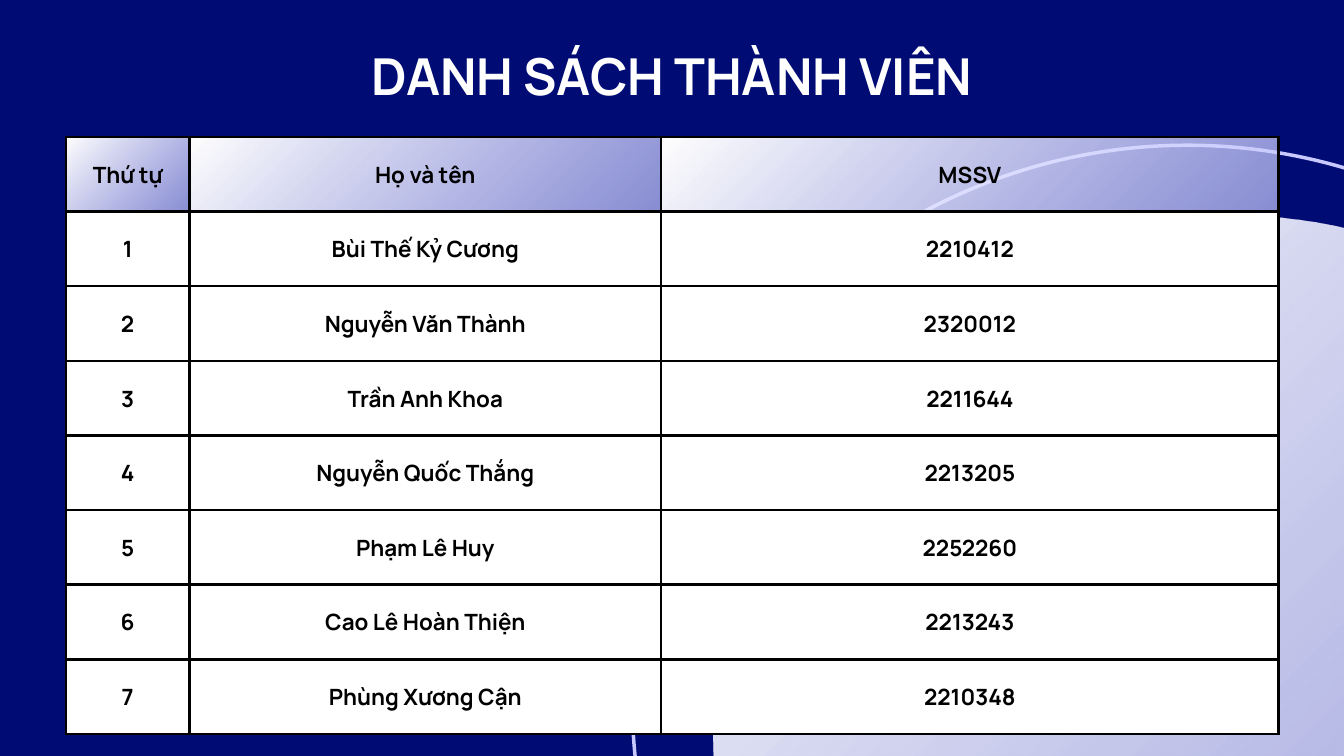
from dataclasses import dataclass

from lxml import etree
from pptx import Presentation
from pptx import util as u
from pptx.dml.color import RGBColor
from pptx.enum import shapes, text
from pptx.oxml.ns import qn


@dataclass(frozen=True)
class Theme:
    font: str = "Manrope"
    navy: RGBColor = RGBColor(0x00, 0x0C, 0x74)
    lavender: RGBColor = RGBColor(0xC7, 0xC9, 0xFF)
    white: RGBColor = RGBColor(0xFF, 0xFF, 0xFF)
    black: RGBColor = RGBColor(0, 0, 0)
    title_size: float = 54.5
    cell_size: float = 24
    title_leading: float = 76.3
    cell_leading: float = 33.6
    border: float = 3


theme = Theme()


def fade(fill, props):
    """Diagonal gradient from white to translucent lavender."""
    fill.gradient()
    fill.gradient_angle = 315
    for stop, position, color in zip(fill.gradient_stops, (0, 1), (theme.white, theme.lavender)):
        stop.position = position
        stop.color.rgb = color
    last = props.findall(".//" + qn("a:srgbClr"))[-1]
    etree.SubElement(last, qn("a:alpha"), val="69000")


def style_paragraph(p, size, leading, color):
    p.alignment = text.PP_ALIGN.CENTER
    p.line_spacing = u.Pt(leading)
    for r in p.runs:
        r.font.name = theme.font
        r.font.size = u.Pt(size)
        r.font.bold = True
        r.font.color.rgb = color


prs = Presentation()
prs.slide_width = u.Cm(50.8)
prs.slide_height = prs.slide_width * 9 // 16
s = prs.slides.add_slide(prs.slide_layouts[5])
s.background.fill.solid()
s.background.fill.fore_color.rgb = theme.navy

# Ring and disc behind the table
ring = s.shapes.add_shape(shapes.MSO_SHAPE.OVAL, u.Cm(23.9), u.Cm(5.49), u.Cm(41.96), u.Cm(41.96))
ring.shadow.inherit = False
ring.fill.background()
ring.line.color.rgb = theme.lavender
ring.line.width = u.Pt(3.75)

disc = s.shapes.add_shape(shapes.MSO_SHAPE.OVAL, u.Cm(26.97), u.Cm(8.13), u.Cm(39.14), u.Cm(39.14))
disc.shadow.inherit = False
fade(disc.fill, disc._element.spPr)
disc.line.fill.background()

# Member table
rows = [
    ("Thứ tự", "Họ và tên", "MSSV"),
    ("1", "Bùi Thế Kỷ Cương", "2210412"),
    ("2", "Nguyễn Văn Thành", "2320012"),
    ("3", "Trần Anh Khoa", "2211644"),
    ("4", "Nguyễn Quốc Thắng", "2213205"),
    ("5", "Phạm Lê Huy", "2252260"),
    ("6", "Cao Lê Hoàn Thiện", "2213243"),
    ("7", "Phùng Xương Cận", "2210348"),
]
widths = [u.Cm(w) for w in (4.67, 17.83, 23.34)]
row_height = u.Cm(2.82)
table = s.shapes.add_table(len(rows), len(widths), u.Cm(2.49), u.Cm(5.18),
                           sum(widths), row_height * len(rows)).table
table.first_row = table.horz_banding = False
for column, width in zip(table.columns, widths):
    column.width = width

for i, row in enumerate(rows):
    table.rows[i].height = row_height
    for j, value in enumerate(row):
        cell = table.cell(i, j)
        cell.text = value
        cell.vertical_anchor = text.MSO_ANCHOR.MIDDLE
        cell.margin_left = cell.margin_right = u.Cm(0.53)
        cell.margin_top = cell.margin_bottom = u.Cm(0.53)
        style_paragraph(cell.text_frame.paragraphs[0], theme.cell_size, theme.cell_leading, theme.black)
        props = cell._tc.get_or_add_tcPr()
        if i == 0:
            fade(cell.fill, props)
        else:
            cell.fill.solid()
            cell.fill.fore_color.rgb = theme.white
        # Borders come before the fill in the cell properties
        for k, side in enumerate(("lnL", "lnR", "lnT", "lnB")):
            line = etree.Element(qn("a:" + side), w=str(u.Pt(theme.border)))
            solid = etree.SubElement(line, qn("a:solidFill"))
            etree.SubElement(solid, qn("a:srgbClr"), val=str(theme.black))
            props.insert(k, line)

# Title
title = s.shapes.title
title.left, title.top, title.width, title.height = u.Cm(13.59), u.Cm(1.3), u.Cm(23.62), u.Cm(2.72)
tf = title.text_frame
tf.text = "DANH SÁCH THÀNH VIÊN"
tf.word_wrap = True
tf.auto_size = text.MSO_AUTO_SIZE.SHAPE_TO_FIT_TEXT
tf.vertical_anchor = text.MSO_ANCHOR.TOP
tf.margin_left = tf.margin_right = tf.margin_top = tf.margin_bottom = 0
style_paragraph(tf.paragraphs[0], theme.title_size, theme.title_leading, theme.white)

prs.save("out.pptx")
